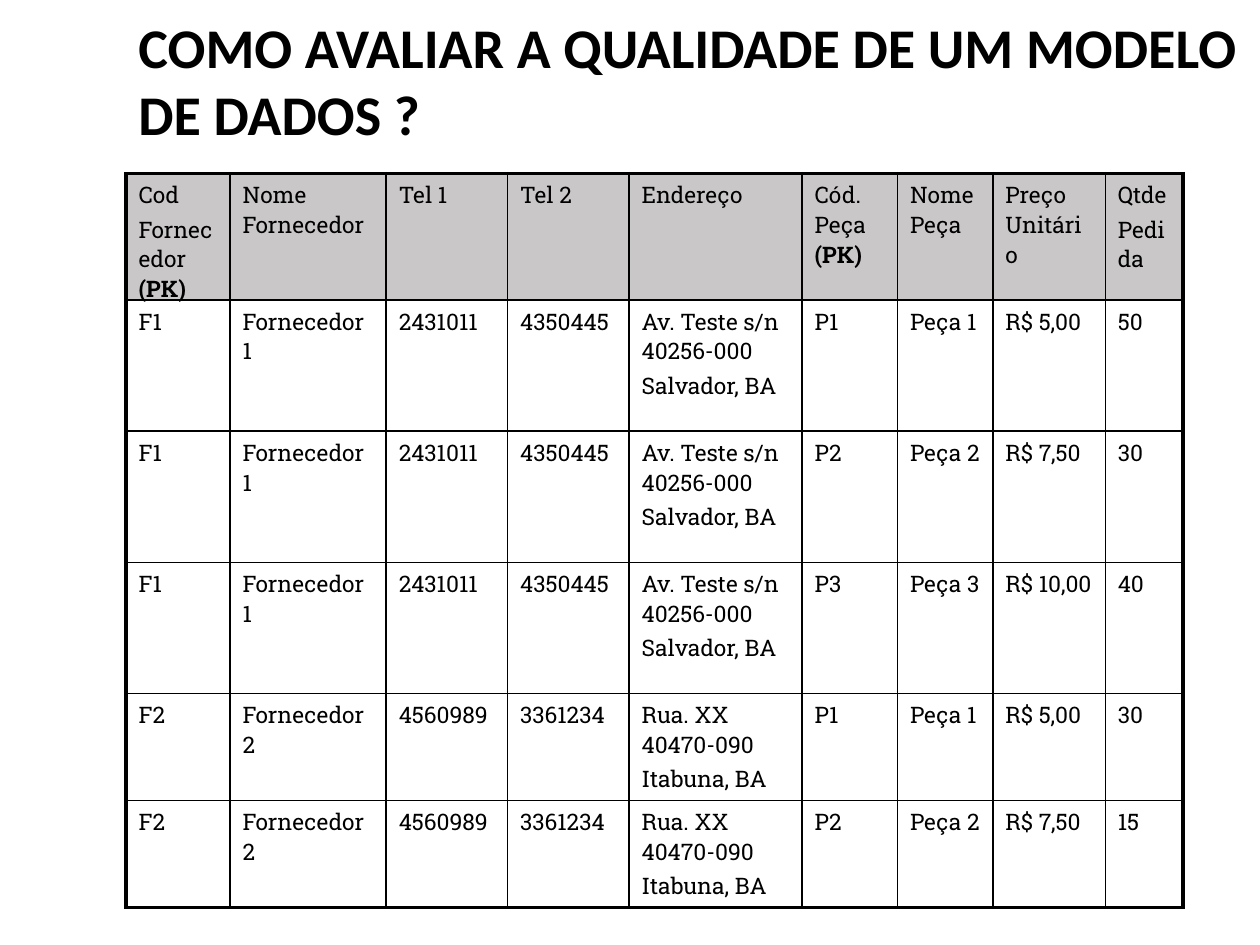
import pptx
import pptx.util
import pptx.dml.color
import pptx.enum.text
import pptx.oxml
import pptx.oxml.ns
from pptx.util import Pt

THEME = {
    "ink": "000000", "header": "C9C7C7",
    "title_font": {"name": "Calibri", "size": Pt(32), "bold": True},
    "body_font": {"name": "Roboto Slab", "size": Pt(13), "bold": False},
    "inner_line": 1, "outer_line": 2.25,
}
INK = pptx.dml.color.RGBColor.from_string(THEME["ink"])
HEADER_FILL = pptx.dml.color.RGBColor.from_string(THEME["header"])


def add_run(paragraph, text, style):
    run = paragraph.add_run()
    run.text = text
    for name, value in style.items():
        setattr(run.font, name, value)
    run.font.color.rgb = INK


def add_border(cell, side, width):
    """Draw one cell edge; side is L, R, T or B. Call before filling the cell."""
    cell._tc.get_or_add_tcPr().append(pptx.oxml.parse_xml(
        f'<a:ln{side} {pptx.oxml.ns.nsdecls("a")} w="{int(Pt(width))}">'
        f'<a:solidFill><a:srgbClr val="{THEME["ink"]}"/></a:solidFill></a:ln{side}>'))


presentation = pptx.Presentation()
presentation.slide_width, presentation.slide_height = Pt(720), Pt(540)
slide = presentation.slides.add_slide(presentation.slide_layouts[6])

title = slide.shapes.add_textbox(Pt(72), Pt(3.6), Pt(648), Pt(75.6)).text_frame
title.word_wrap = True
title.vertical_anchor = pptx.enum.text.MSO_ANCHOR.TOP
add_run(title.paragraphs[0], "COMO AVALIAR A QUALIDADE DE UM MODELO DE DADOS ?",
        THEME["title_font"])

# A line break separates paragraphs; the key mark is set in bold.
KEY_MARK = "(PK)"
headings = ["Cod\nFornecedor (PK)", "Nome Fornecedor", "Tel 1", "Tel 2", "Endereço",
            "Cód. Peça (PK)", "Nome Peça", "Preço Unitário", "Qtde\nPedida"]
suppliers = {
    "F1": ["Fornecedor 1", "2431011", "4350445", "Av. Teste s/n 40256-000\nSalvador, BA"],
    "F2": ["Fornecedor 2", "4560989", "3361234", "Rua. XX 40470-090\nItabuna, BA"],
}
parts = {"P1": ["Peça 1", "R$ 5,00"], "P2": ["Peça 2", "R$ 7,50"],
         "P3": ["Peça 3", "R$ 10,00"]}
orders = [("F1", "P1", "50"), ("F1", "P2", "30"), ("F1", "P3", "40"),
          ("F2", "P1", "30"), ("F2", "P2", "15")]
records = [headings] + [
    [supplier, *suppliers[supplier], part, *parts[part], quantity]
    for supplier, part, quantity in orders]

column_widths = [59.5, 89.2, 69.4, 69.4, 98.9, 54.5, 54.5, 64.3, 44.4]
row_heights = [61.2, 74.9, 74.9, 74.9, 61.2, 61.2]
last_row, last_column = len(row_heights) - 1, len(column_widths) - 1

orders_table = slide.shapes.add_table(
    len(row_heights), len(column_widths), Pt(72), Pt(99.2),
    Pt(sum(column_widths)), Pt(sum(row_heights))).table
orders_table.first_row = orders_table.horz_banding = False
for column, width in zip(orders_table.columns, column_widths):
    column.width = Pt(width)
for row, height in zip(orders_table.rows, row_heights):
    row.height = Pt(height)

for row_index, record in enumerate(records):
    for column_index, content in enumerate(record):
        cell = orders_table.cell(row_index, column_index)
        outer_edges = {"L": column_index == 0, "R": column_index == last_column,
                       "T": row_index == 0, "B": row_index == last_row}
        for side, is_outer in outer_edges.items():
            add_border(cell, side, THEME["outer_line" if is_outer else "inner_line"])
        if row_index == 0:
            cell.fill.solid()
            cell.fill.fore_color.rgb = HEADER_FILL
        else:
            cell.fill.background()
        for line_index, line in enumerate(content.split("\n")):
            frame = cell.text_frame
            paragraph = frame.add_paragraph() if line_index else frame.paragraphs[0]
            paragraph.space_before = Pt(2.6)
            label, mark, _ = line.partition(KEY_MARK)
            add_run(paragraph, label, THEME["body_font"])
            if mark:
                add_run(paragraph, mark, THEME["body_font"] | {"bold": True})

presentation.save("out.pptx")
